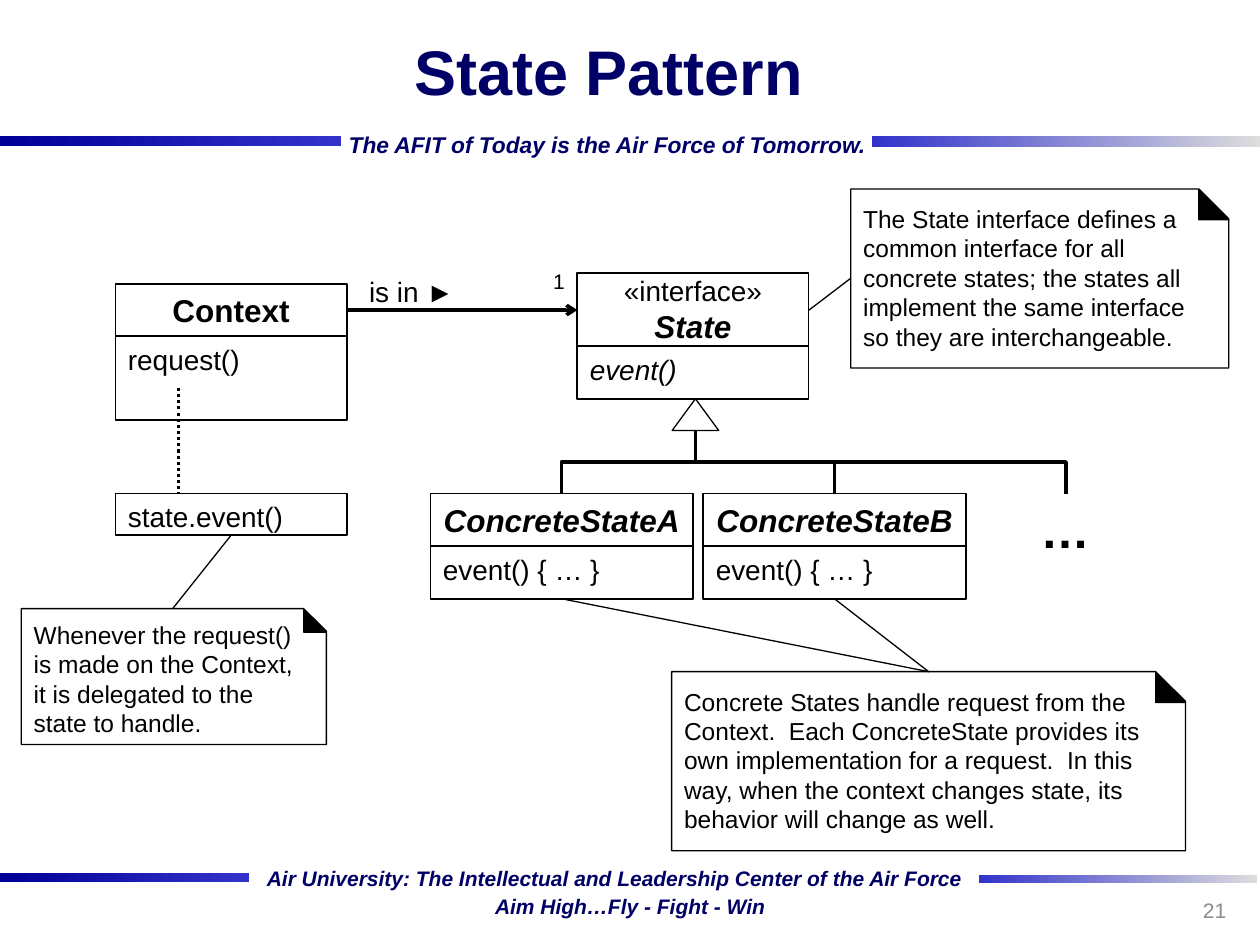
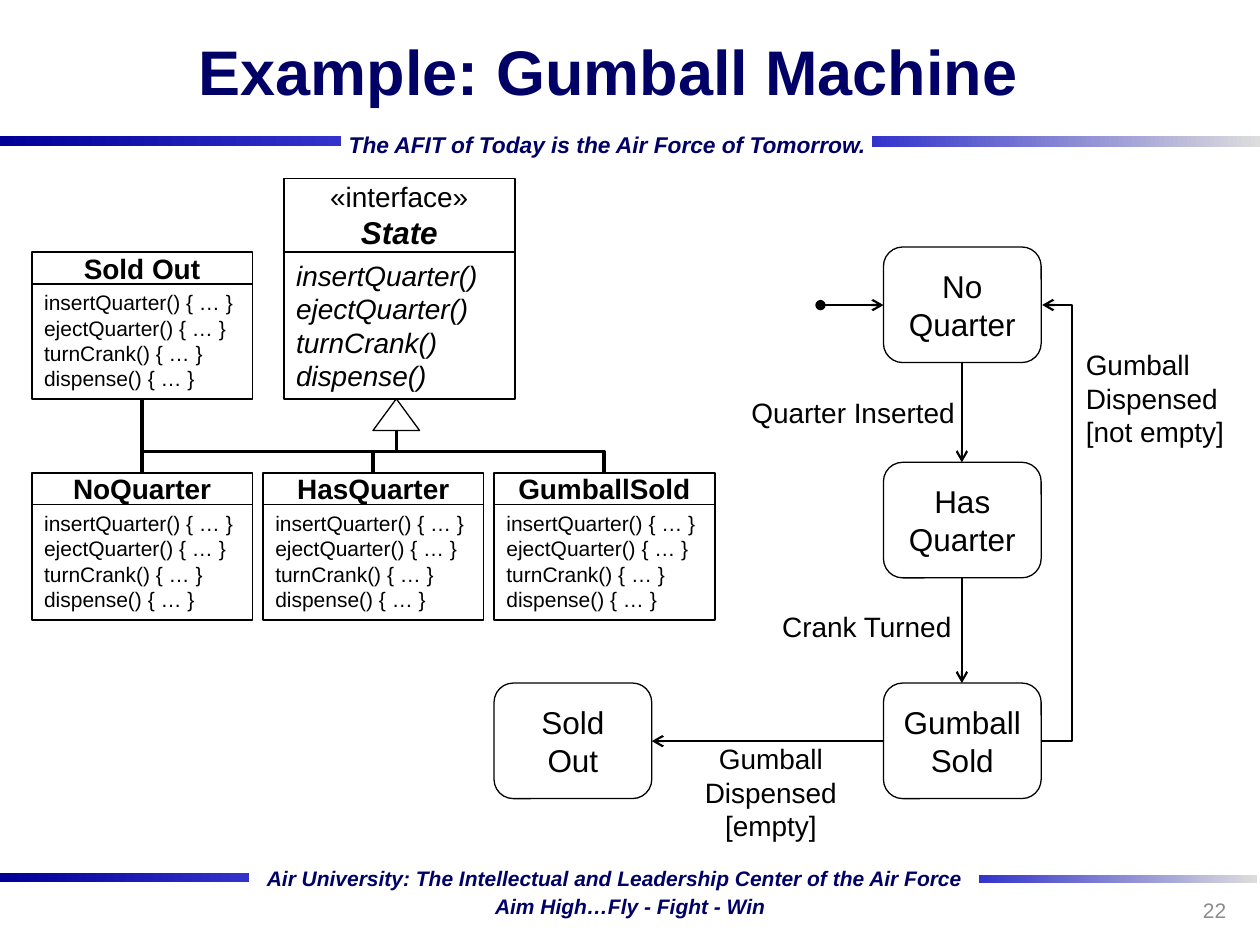
from lxml import etree
from pptx import Presentation
from pptx.dml.color import RGBColor
from pptx.enum.dml import MSO_LINE
from pptx.enum.shapes import MSO_CONNECTOR, MSO_SHAPE
from pptx.enum.text import MSO_ANCHOR, MSO_AUTO_SIZE, PP_ALIGN
from pptx.oxml.ns import qn
from pptx.util import Cm, Pt

NAVY = RGBColor(0x00, 0x00, 0x66)
DEEP_BLUE = RGBColor(0x00, 0x00, 0x99)
BLUE = RGBColor(0x33, 0x33, 0xCC)
SILVER = RGBColor(0xDD, 0xDD, 0xDD)
GRAY = RGBColor(0x8C, 0x8C, 0x8C)
BLACK = RGBColor(0x00, 0x00, 0x00)
WHITE = RGBColor(0xFF, 0xFF, 0xFF)
FONT = "Arial"

LEFT, CENTER, RIGHT = PP_ALIGN.LEFT, PP_ALIGN.CENTER, PP_ALIGN.RIGHT
TOP, MIDDLE = MSO_ANCHOR.TOP, MSO_ANCHOR.MIDDLE
FIT_SHAPE = MSO_AUTO_SIZE.SHAPE_TO_FIT_TEXT
STRAIGHT, ELBOW = MSO_CONNECTOR.STRAIGHT, MSO_CONNECTOR.ELBOW
DOTTED = MSO_LINE.ROUND_DOT
RECTANGLE = MSO_SHAPE.RECTANGLE
ROUNDED = MSO_SHAPE.ROUNDED_RECTANGLE
SNIPPED = MSO_SHAPE.SNIP_1_RECTANGLE
TRIANGLE = MSO_SHAPE.ISOSCELES_TRIANGLE
FOLD = MSO_SHAPE.RIGHT_TRIANGLE

TITLE_ONLY = 5
INTERFACE = "«interface»\vState"
OPERATIONS = ["insertQuarter()", "ejectQuarter()", "turnCrank()", "dispense()"]


def write(box, text, size, color=BLACK, bold=False, italic=False, align=LEFT, anchor=TOP):
    frame = box.text_frame
    frame.text = text
    frame.vertical_anchor = anchor
    for paragraph in frame.paragraphs:
        paragraph.alignment = align
        for span in paragraph.runs:
            span.font.name = FONT
            span.font.size = Pt(size)
            span.font.color.rgb = color
            span.font.bold = bold
            span.font.italic = italic


def add_box(shapes, kind, left, top, width, height, fill=None, weight=1):
    box = shapes.add_shape(kind, Cm(left), Cm(top), Cm(width), Cm(height))
    box.shadow.inherit = False
    if fill is None:
        box.fill.background()
    else:
        box.fill.solid()
        box.fill.fore_color.rgb = fill
    box.line.color.rgb = BLACK
    box.line.width = Pt(weight)
    return box


def add_label(page, text, left, top, width, height, size, wrap=False, **style):
    label = page.shapes.add_textbox(Cm(left), Cm(top), Cm(width), Cm(height))
    write(label, text, size, **style)
    label.text_frame.word_wrap = wrap
    label.text_frame.auto_size = FIT_SHAPE
    return label


def add_line(page, start, end, weight, kind=STRAIGHT, head=None, tail=None, dash=None):
    line = page.shapes.add_connector(
        kind, Cm(start[0]), Cm(start[1]), Cm(end[0]), Cm(end[1]))
    line.line.color.rgb = BLACK
    line.line.width = Pt(weight)
    if dash is not None:
        line.line.dash_style = dash
    properties = line._element.spPr
    outline = properties.find(qn("a:ln"))
    for tag, end_kind in (("a:headEnd", head), ("a:tailEnd", tail)):
        if end_kind:
            etree.SubElement(outline, qn(tag)).set("type", end_kind)
    etree.SubElement(properties, qn("a:effectLst"))
    return line


def add_branch(page, start, end):
    middle_x, middle_y = (start[0] + end[0]) / 2, (start[1] + end[1]) / 2
    half_run = (end[1] - start[1]) / 2
    half_rise = abs(end[0] - start[0]) / 2
    to_right = end[0] > start[0]
    if to_right:
        half_run = -half_run
    line = add_line(page, (middle_x - half_run, middle_y - half_rise),
                    (middle_x + half_run, middle_y + half_rise), 2, ELBOW)
    degrees = 270 if to_right else 90
    line._element.spPr.find(qn("a:xfrm")).set("rot", str(degrees * 60000))


def add_return_arrow(page, start, end, reach):
    line = add_line(page, start, end, 1.25, ELBOW, tail="arrow")
    bend = round(reach / (end[0] - start[0]) * 100000)
    adjustments = line._element.spPr.find(qn("a:prstGeom")).find(qn("a:avLst"))
    guide = etree.SubElement(adjustments, qn("a:gd"))
    guide.set("name", "adj1")
    guide.set("fmla", f"val {bend}")


def add_inheritance(page, center, top, child_centers, child_top):
    width, height = 0.94, 0.64
    add_box(page.shapes, TRIANGLE, center - width / 2, top, width, height, weight=0.75)
    for child in child_centers:
        add_branch(page, (center, top + height), (child, child_top))


def add_class(page, left, top, width, heights, name, operations,
              name_size=18, size=16, italic_name=False, italic=False):
    name_height, body_height = heights
    header = add_box(page.shapes, RECTANGLE, left, top, width, name_height)
    write(header, name, name_size, bold=True, italic=italic_name,
          align=CENTER, anchor=MIDDLE)
    body = add_box(page.shapes, RECTANGLE, left, top + name_height, width, body_height)
    write(body, "\n".join(operations), size, italic=italic)
    return header


def add_interface(page, left, top, body_height, operations):
    header = add_class(page, left, top, 4.66, (1.48, body_height), INTERFACE,
                       operations, italic_name=True, italic=True)
    stereotype = header.text_frame.paragraphs[0].runs[0].font
    stereotype.size = Pt(16)
    stereotype.bold = stereotype.italic = False


def add_note(page, left, top, width, height, text):
    shapes = page.shapes.add_group_shape().shapes
    note = add_box(shapes, SNIPPED, left, top, width, height, WHITE, 0.75)
    write(note, text, 14)
    note.text_frame.margin_top = 0
    fold = height / 6
    add_box(shapes, FOLD, left + width - fold, top + 0.02, fold, fold, BLACK, 0.75)


def add_state(page, left, top, name):
    state = add_box(page.shapes, ROUNDED, left, top, 3.18, 2.33, weight=0.75)
    write(state, name, 18, align=CENTER, anchor=MIDDLE)


def add_band(page, left, top, width, height, first, last):
    band = add_box(page.shapes, RECTANGLE, left, top, width, height)
    band.line.fill.background()
    band.fill.gradient()
    band.fill.gradient_angle = 0
    for stop, color in zip(band.fill.gradient_stops, (first, last)):
        stop.color.rgb = color
    return band


def move_to_layout(layout, shapes):
    for number, shape in enumerate(shapes, start=20):
        shape._element.nvSpPr.cNvPr.set("id", str(number))
        layout.shapes._spTree.append(shape._element)


def add_shared_bands(page):
    motto = {"color": NAVY, "bold": True, "italic": True}
    move_to_layout(page.slide_layout, [
        add_band(page, 0, 17.6, 5.03, 0.18, DEEP_BLUE, BLUE),
        add_band(page, 19.74, 17.63, 5.61, 0.18, BLUE, SILVER),
        add_band(page, 17.58, 2.74, 7.82, 0.23, BLUE, SILVER),
        add_band(page, 0, 2.74, 6.88, 0.2, DEEP_BLUE, BLUE),
        add_label(page, "Air University: The Intellectual and Leadership Center "
                  "of the Air Force", 5.13, 17.32, 14.63, 0.74, 12, **motto),
        add_label(page, "Aim High…Fly - Fight - Win",
                  9.73, 17.88, 5.99, 0.74, 12, **motto),
        add_label(page, "The AFIT of Today is the Air Force of Tomorrow.",
                  6.78, 2.51, 11.05, 0.79, 13, **motto),
    ])


def add_page(deck, title, number):
    page = deck.slides.add_slide(deck.slide_layouts[TITLE_ONLY])
    heading = page.shapes.title
    heading.left, heading.top = Cm(1.47), Cm(0)
    heading.width, heading.height = Cm(21.59), Cm(2.84)
    write(heading, title, 36, NAVY, bold=True, align=CENTER, anchor=MIDDLE)
    corner = page.shapes.add_textbox(Cm(19.05), Cm(17.83), Cm(5.92), Cm(1.02))
    write(corner, str(number), 12, GRAY, align=RIGHT, anchor=MIDDLE)
    corner.text_frame.word_wrap = True
    return page


def draw_pattern(page):
    add_class(page, 2.33, 5.72, 4.66, (1.06, 1.69), "Context", ["request()"])
    add_interface(page, 11.64, 5.5, 1.06, ["event()"])
    add_line(page, (6.99, 6.25), (11.64, 6.25), 2, tail="arrow")
    add_label(page, "is in ►", 7.19, 5.41, 2.26, 0.94, 16)
    add_label(page, "1", 10.9, 5.28, 0.74, 0.76, 12)

    add_inheritance(page, 14.02, 8.04, (11.32, 16.82, 21.49), 9.95)
    for left, name in ((8.68, "ConcreteStateA"), (14.18, "ConcreteStateB")):
        add_class(page, left, 9.95, 5.29, (1.06, 1.06), name,
                  ["event() { … }"], italic_name=True)
    add_label(page, "…", 20.52, 9.95, 1.9, 1.45, 28, wrap=True, bold=True, align=CENTER)

    call = add_box(page.shapes, RECTANGLE, 2.33, 9.95, 4.66, 0.84)
    write(call, "state.event()", 16)
    add_line(page, (3.6, 7.82), (3.6, 9.95), 1.75, dash=DOTTED)

    add_note(page, 0.43, 12.27, 6.15, 2.74,
             "Whenever the request() is made on the Context, it is delegated "
             "to the state to handle.")
    add_note(page, 13.54, 13.54, 10.36, 3.61,
             "Concrete States handle request from the Context.  Each ConcreteState "
             "provides its own implementation for a request.  In this way, when the "
             "context changes state, its behavior will change as well.")
    add_note(page, 17.15, 3.81, 7.62, 3.61,
             "The State interface defines a common interface for all concrete states; "
             "the states all implement the same interface so they are interchangeable.")
    for start, end in (((3.48, 12.27), (4.65, 10.8)),
                       ((18.72, 13.54), (16.82, 12.07)),
                       ((18.72, 13.54), (11.32, 12.07)),
                       ((17.15, 5.61), (16.31, 6.25))):
        add_line(page, start, end, 0.75)


def draw_gumball_classes(page):
    add_interface(page, 5.72, 3.6, 2.96, OPERATIONS)
    lefts = [0.64 + 4.66 * column for column in range(3)]
    centers = [left + 2.22 for left in lefts]
    places = [(left, 9.53) for left in lefts] + [(lefts[0], 5.08)]
    names = ["NoQuarter", "HasQuarter", "GumballSold", "Sold Out"]
    bodies = [f"{operation} {{ … }}" for operation in OPERATIONS]
    for (left, top), name in zip(places, names):
        add_class(page, left, top, 4.45, (0.64, 2.33), name, bodies,
                  name_size=16, size=12)
    add_inheritance(page, 7.99, 8.04, centers, 9.53)
    add_line(page, (centers[0], 8.05), (centers[0], 9.53), 2)


def draw_gumball_states(page):
    for left, top, name in ((17.81, 4.98, "No Quarter"), (17.81, 9.32, "Has Quarter"),
                            (17.81, 13.77, "Gumball Sold"), (9.96, 13.77, "Sold Out")):
        add_state(page, left, top, name)
    for start, end in (((19.39, 7.31), (19.39, 9.32)),
                       ((19.39, 11.65), (19.39, 13.77)),
                       ((17.81, 14.94), (13.14, 14.94))):
        add_line(page, start, end, 1.25, tail="arrow")
    add_line(page, (16.54, 6.15), (17.81, 6.15), 1.25, head="oval", tail="arrow")
    add_return_arrow(page, (20.98, 14.94), (21.01, 6.15), 0.64)

    add_label(page, "Quarter Inserted", 14.83, 7.85, 4.67, 0.94, 16, align=RIGHT)
    add_label(page, "Crank Turned", 15.47, 12.17, 3.96, 0.94, 16, align=RIGHT)
    add_label(page, "Gumball\vDispensed\v[not empty]", 21.64, 6.88, 3.35, 2.31, 16)
    add_label(page, "Gumball\vDispensed\v[empty]", 13.94, 14.83, 3.2, 2.31, 16,
              align=CENTER)


def main():
    deck = Presentation()
    deck.slide_width, deck.slide_height = Cm(25.4), Cm(19.05)
    pattern = add_page(deck, "State Pattern", 21)
    add_shared_bands(pattern)
    draw_pattern(pattern)
    example = add_page(deck, "Example: Gumball Machine", 22)
    draw_gumball_classes(example)
    draw_gumball_states(example)
    deck.save("out.pptx")


main()
